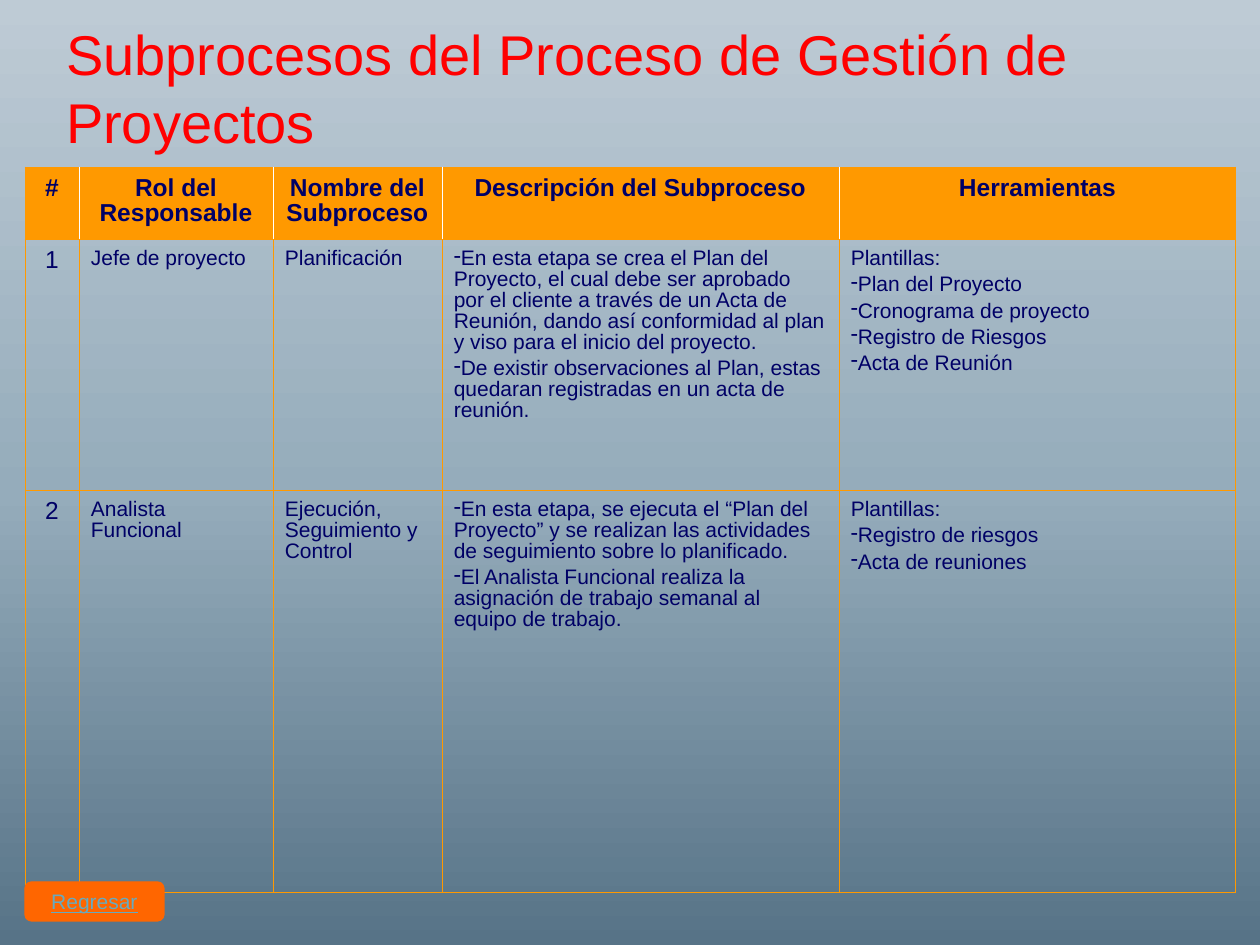
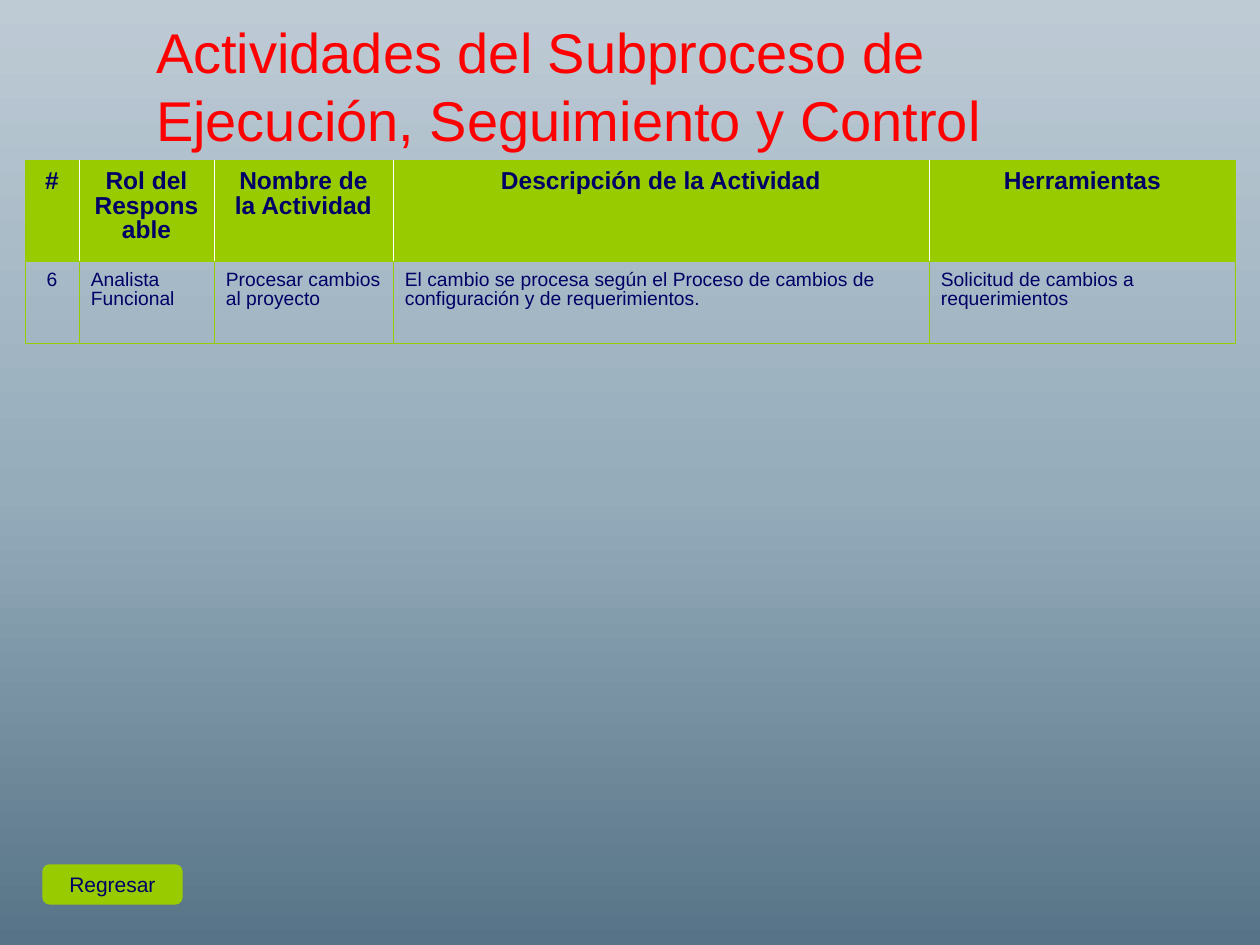
from copy import deepcopy
from dataclasses import dataclass

from lxml.etree import SubElement
from pptx import Presentation
from pptx.dml.color import RGBColor
from pptx.enum.shapes import MSO_SHAPE
from pptx.enum.text import MSO_ANCHOR, MSO_AUTO_SIZE, PP_ALIGN
from pptx.oxml.ns import qn
from pptx.util import Emu, Pt

# Shared style
PX_PER_INCH = 126
FONT = "Arial"
RED, NAVY, WHITE, PALE_BLUE = "FF0000", "000066", "FFFFFF", "67AABF"
ORANGE, DEEP_ORANGE, GREEN = "FF9900", "FF6600", "99CC00"
BACKGROUND_STOPS = [(0, "577387"), (0.48, "95ACBB"), (1, "BECBD5")]
OUTER_LINE, ROW_LINE = 0.5, 0.34
LINE_SPACING = 0.89
BULLET = "-"


@dataclass
class Title:
    text: str
    left: int
    top: int
    width: int
    height: int = 149


@dataclass
class Button:
    left: int
    top: int
    fill: str
    color: str
    underline: bool = False
    text: str = "Regresar"
    width: int = 139
    height: int = 39


@dataclass
class ProcessTable:
    top: int
    accent: str
    body_size: int
    number_size: int
    header_line: float
    body_line: float
    columns: list[int]
    row_heights: list[int]
    rows: list[list[str]]
    left: int = 25


@dataclass
class Page:
    title: Title
    table: ProcessTable
    button: Button


def px(length: int) -> Emu:
    return Emu(round(length * 914400 / PX_PER_INCH))


def rgb(value: str) -> RGBColor:
    return RGBColor.from_string(value)


def set_margins(target, top: int = 6) -> None:
    target.margin_left = target.margin_right = px(12)
    target.margin_top, target.margin_bottom = px(top), px(6)


def style_font(para, size: float, color: str, bold: bool = False) -> None:
    para.font.name = FONT
    para.font.size = Pt(size)
    para.font.bold = bold
    para.font.color.rgb = rgb(color)


def paint_background(master) -> None:
    fill = master.background.fill
    fill.gradient()
    fill.gradient_angle = 90
    stop_list = master.element.find(".//" + qn("p:bg")).find(".//" + qn("a:gsLst"))
    stop_list.append(deepcopy(stop_list[0]))
    for stop, (position, color) in zip(fill.gradient_stops, BACKGROUND_STOPS):
        stop.position = position
        stop.color.rgb = rgb(color)


def add_title(slide, title: Title) -> None:
    box = slide.shapes.add_textbox(px(title.left), px(title.top), px(title.width), px(title.height))
    frame = box.text_frame
    frame.word_wrap = True
    frame.auto_size = MSO_AUTO_SIZE.SHAPE_TO_FIT_TEXT
    set_margins(frame)
    frame.text = title.text
    style_font(frame.paragraphs[0], 32, RED)


def add_button(slide, button: Button) -> None:
    shape = slide.shapes.add_shape(
        MSO_SHAPE.FLOWCHART_ALTERNATE_PROCESS,
        px(button.left), px(button.top), px(button.width), px(button.height))
    shape.shadow.inherit = False
    shape.fill.solid()
    shape.fill.fore_color.rgb = rgb(button.fill)
    shape.line.color.rgb = rgb(button.fill)
    shape.line.width = Pt(0.75)
    frame = shape.text_frame
    frame.word_wrap = False
    frame.vertical_anchor = MSO_ANCHOR.MIDDLE
    set_margins(frame)
    frame.text = button.text
    para = frame.paragraphs[0]
    para.alignment = PP_ALIGN.CENTER
    style_font(para, 12, button.color)
    para.font.underline = button.underline


def add_border(cell, side: str, color: str, width: float) -> None:
    line = SubElement(cell._tc.get_or_add_tcPr(), qn(f"a:ln{side}"), w=str(Pt(width)))
    SubElement(SubElement(line, qn("a:solidFill")), qn("a:srgbClr"), val=color)


def add_bullet(para) -> None:
    properties = para._p.get_or_add_pPr()
    properties.set("marL", "0")
    properties.set("indent", "0")
    SubElement(SubElement(properties, qn("a:buClr")), qn("a:srgbClr"), val=NAVY)
    SubElement(properties, qn("a:buChar"), char=BULLET)


def fill_cell(cell, text: str, size: float, bold: bool, centered: bool) -> None:
    """Write one paragraph per line; a leading dash becomes a bullet."""
    set_margins(cell, top=10)
    lines = text.split("\n")
    cell.text = "\n".join(line.removeprefix(BULLET) for line in lines)
    for index, (line, para) in enumerate(zip(lines, cell.text_frame.paragraphs)):
        if line.startswith(BULLET):
            add_bullet(para)
        para.line_spacing = LINE_SPACING
        if index:
            para.space_before = Pt(size / 4)
        para.alignment = PP_ALIGN.CENTER if centered else PP_ALIGN.LEFT
        style_font(para, size, NAVY, bold)


def add_process_table(slide, data: ProcessTable) -> None:
    row_count, column_count = len(data.rows), len(data.columns)
    table = slide.shapes.add_table(
        row_count, column_count, px(data.left), px(data.top),
        px(sum(data.columns)), px(sum(data.row_heights))).table
    table.first_row = table.horz_banding = False
    for column, width in zip(table.columns, data.columns):
        column.width = px(width)
    for row, height in zip(table.rows, data.row_heights):
        row.height = px(height)

    for r, texts in enumerate(data.rows):
        header = r == 0
        inner_color = WHITE if header else data.accent
        inner_line = data.header_line if header else data.body_line
        for c, text in enumerate(texts):
            cell = table.cell(r, c)
            size = 14 if header else data.number_size if c == 0 else data.body_size
            fill_cell(cell, text, size, bold=header, centered=header or c == 0)
            # Borders: the outer frame is heavier, header dividers are white
            for side, outer in (("L", c == 0), ("R", c == column_count - 1)):
                add_border(cell, side, data.accent if outer else inner_color,
                           OUTER_LINE if outer else inner_line)
            for side, outer in (("T", header), ("B", r == row_count - 1)):
                add_border(cell, side, data.accent, OUTER_LINE if outer else ROW_LINE)
            if header:
                cell.fill.solid()
                cell.fill.fore_color.rgb = rgb(data.accent)
            else:
                cell.fill.background()


# Content
PAGES = [
    Page(
        Title("Subprocesos del Proceso de Gestión de Proyectos", 54, 14, 1181),
        ProcessTable(
            top=167, accent=ORANGE, body_size=12, number_size=14,
            header_line=0.23, body_line=0.34,
            columns=[54, 194, 169, 397, 397], row_heights=[72, 251, 402],
            rows=[
                ["#", "Rol del Responsable", "Nombre del Subproceso",
                 "Descripción del Subproceso", "Herramientas"],
                ["1", "Jefe de proyecto", "Planificación",
                 "-En esta etapa se crea el Plan del Proyecto, el cual debe ser aprobado "
                 "por el cliente a través de un Acta de Reunión, dando así conformidad "
                 "al plan y viso para el inicio del proyecto.\n"
                 "-De existir observaciones al Plan, estas quedaran registradas en un "
                 "acta de reunión.",
                 "Plantillas:\n-Plan del Proyecto\n-Cronograma de proyecto\n"
                 "-Registro de Riesgos\n-Acta de Reunión"],
                ["2", "Analista Funcional", "Ejecución, Seguimiento y Control",
                 "-En esta etapa, se ejecuta el “Plan del Proyecto” y se realizan las "
                 "actividades de seguimiento sobre lo planificado.\n"
                 "-El Analista Funcional realiza la asignación de trabajo semanal al "
                 "equipo de trabajo.",
                 "Plantillas:\n-Registro de riesgos\n-Acta de reuniones"],
            ]),
        Button(25, 882, DEEP_ORANGE, PALE_BLUE, underline=True),
    ),
    Page(
        Title("Actividades del Subproceso de Ejecución, Seguimiento y Control", 144, 12, 1052),
        ProcessTable(
            top=160, accent=GREEN, body_size=11, number_size=11,
            header_line=0.34, body_line=0.23,
            columns=[54, 135, 179, 536, 307], row_heights=[101, 82],
            rows=[
                ["#", "Rol del Responsable", "Nombre de la Actividad",
                 "Descripción de la Actividad", "Herramientas"],
                ["6", "Analista Funcional", "Procesar cambios al proyecto",
                 "El cambio se procesa según el Proceso de cambios de configuración "
                 "y de requerimientos.",
                 "Solicitud de cambios a requerimientos"],
            ]),
        Button(43, 865, GREEN, NAVY),
    ),
]


def main() -> None:
    deck = Presentation()
    deck.slide_width, deck.slide_height = px(1260), px(945)
    paint_background(deck.slide_master)
    for page in PAGES:
        slide = deck.slides.add_slide(deck.slide_layouts[6])
        add_process_table(slide, page.table)
        add_title(slide, page.title)
        add_button(slide, page.button)
    deck.save("out.pptx")


if __name__ == "__main__":
    main()
